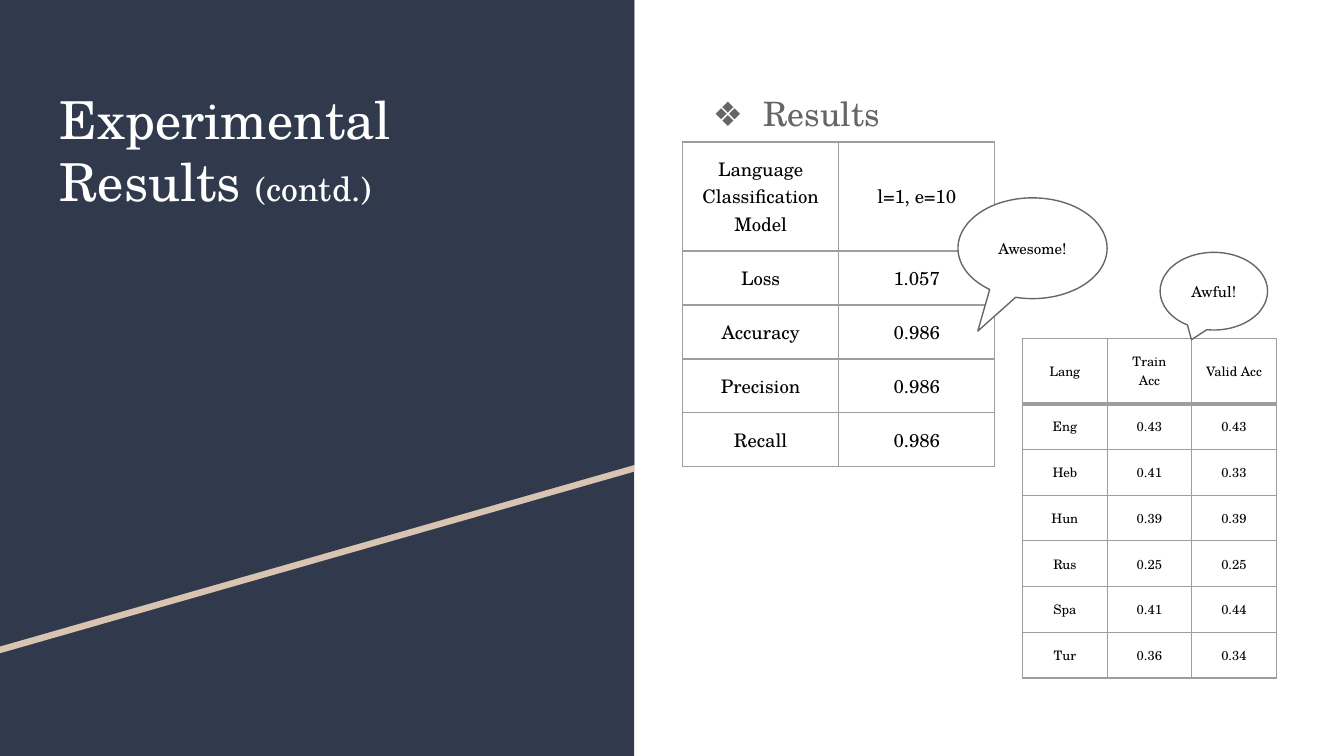
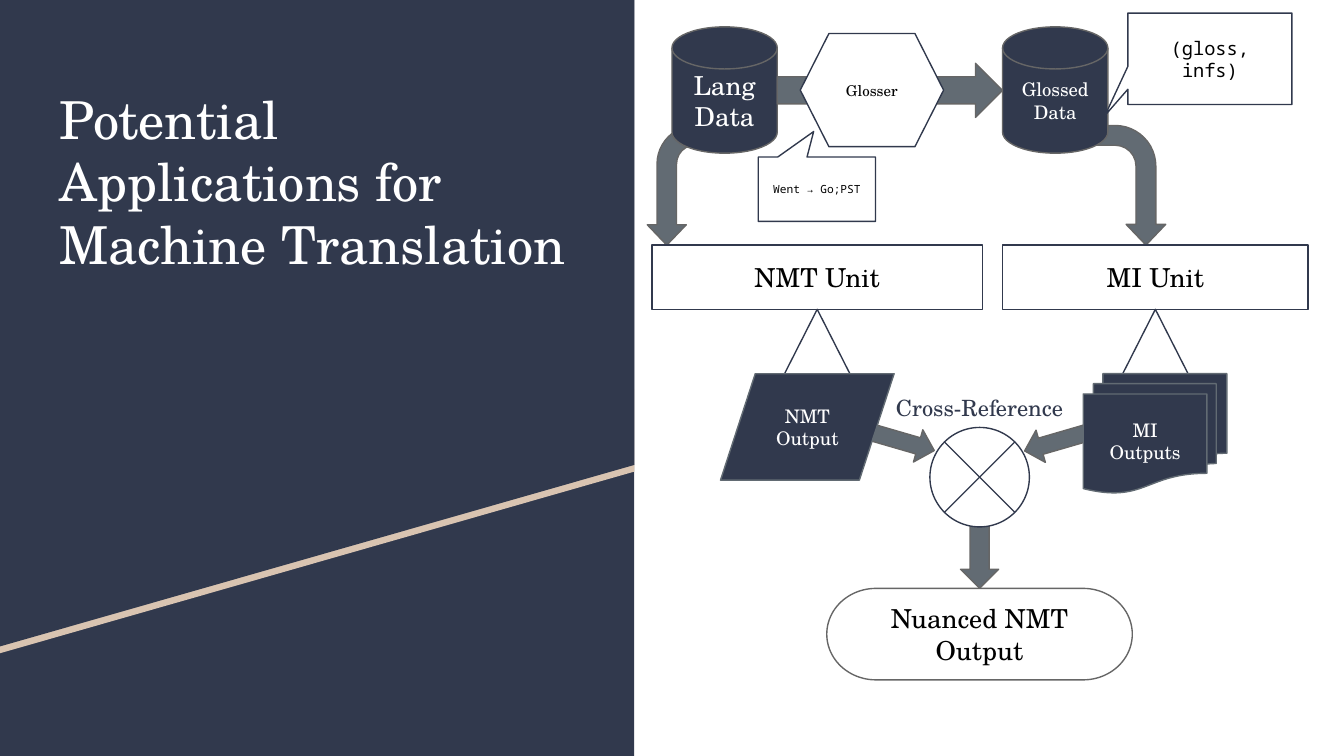
from lxml import etree
from pptx import Presentation
from pptx.dml.color import RGBColor
from pptx.enum.shapes import MSO_SHAPE as Kind
from pptx.enum.text import MSO_ANCHOR as Anchor, PP_ALIGN as Align
from pptx.oxml.ns import qn
from pptx.util import Pt

NAVY = RGBColor(0x31, 0x39, 0x4D)
SAND = RGBColor(0xD9, 0xC4, 0xB1)
SLATE = RGBColor(0x62, 0x6B, 0x73)
GRAY = RGBColor(0x66, 0x66, 0x66)
GRID = RGBColor(0x9E, 0x9E, 0x9E)
WHITE = RGBColor(0xFF, 0xFF, 0xFF)
BLACK = RGBColor(0, 0, 0)
SERIF = "TeX Gyre Schola"
MONO = "Noto Sans Mono"

# Shared layout
SLIDE_SIZE = (720, 405)
PANEL_WIDTH = 339.8
SAND_EDGE = [(0, 3.6), (339, 3.6), (PANEL_WIDTH, 252.7), (0, 350)]
NAVY_TOP = [(0, 0), (PANEL_WIDTH, 0), (PANEL_WIDTH, 249.1), (0, 346.3)]
TITLE_BOX = (24.8, 39.4, 291.6, 197.3)
INSET = 7.2
LINE_WIDTH = 0.75

# Look of a shape: fill, line, text colour
LOOKS = {
    "bubble": (WHITE, GRAY, BLACK),
    "box": (WHITE, NAVY, BLACK),
    "data": (NAVY, GRAY, WHITE),
    "output": (NAVY, SLATE, WHITE),
    "arrow": (SLATE, GRAY, WHITE),
}

# Slide 1 content
RESULTS_TITLE = [("Experimental Results ", 28), ("(contd.)", 18)]
RESULTS_BOX = (365.8, 39.6, 328.3, 322.6)
MODEL_TABLE = {
    "at": (365.6, 76.1), "column": 83.7, "rows": (58.4, 28.9), "size": 10, "heavy": None,
    "cells": [
        ("Language Classification Model", "l=1, e=10"),
        ("Loss", "1.057"),
        ("Accuracy", "0.986"),
        ("Precision", "0.986"),
        ("Recall", "0.986"),
    ],
}
LANGUAGE_TABLE = {
    "at": (547.8, 181.4), "column": 45.3, "rows": (34.9, 24.5), "size": 7, "heavy": 2.25,
    "cells": [
        ("Lang", "Train Acc", "Valid Acc"),
        ("Eng", "0.43", "0.43"),
        ("Heb", "0.41", "0.33"),
        ("Hun", "0.39", "0.39"),
        ("Rus", "0.25", "0.25"),
        ("Spa", "0.41", "0.44"),
        ("Tur", "0.36", "0.34"),
    ],
}
AWESOME = dict(kind=Kind.OVAL_CALLOUT, at=(513.2, 106, 79.9, 54), look="bubble",
               text="Awesome!", size=8, adjust=(-0.367, 0.822))
AWFUL = dict(kind=Kind.OVAL_CALLOUT, at=(621.5, 135.2, 57.6, 41.6), look="bubble",
             text="Awful!", size=8, adjust=(-0.208, 0.625))

# Slide 2 content
TRANSLATION_TITLE = [("Potential Applications for Machine Translation", 28)]
DISK_TOP, DISK_SIZE = 14.4, (56.4, 67.7)
LANG_X, GLOSSED_X = 360, 537.1
UNIT_TOP, UNIT_HEIGHT = 131.2, 34.5
NMT_UNIT = (349.3, UNIT_TOP, 177, UNIT_HEIGHT)
MI_UNIT = (GLOSSED_X, UNIT_TOP, 163.7, UNIT_HEIGHT)
FAN_SIZE = (35, 34.5)
BEND = (0.25, 0.25, 0.261)


def fan_under(unit):
    """Triangle centred below a unit box."""
    left, top, width, height = unit
    return dict(kind=Kind.FLOWCHART_EXTRACT, look="box",
                at=(left + (width - FAN_SIZE[0]) / 2, top + height, *FAN_SIZE))


FLOW = [
    dict(kind=Kind.FLOWCHART_MAGNETIC_DISK, at=(LANG_X, DISK_TOP, *DISK_SIZE),
         look="data", text="Lang\nData", size=14),
    dict(kind=Kind.RIGHT_ARROW, at=(416.4, 33.9, 120.7, 29), look="arrow"),
    dict(kind=Kind.FLOWCHART_PREPARATION, at=(428.7, 18, 76.8, 60.6),
         look="box", text="Glosser", size=8),
    dict(kind=Kind.BENT_ARROW, at=(571.2, 78, 64.1, 42.5), look="arrow",
         rotation=90, adjust=(*BEND, 0.513)),
    dict(kind=Kind.FLOWCHART_MAGNETIC_DISK, at=(GLOSSED_X, DISK_TOP, *DISK_SIZE),
         look="data", text="Glossed\nData", size=10),
    dict(kind=Kind.FLOWCHART_PROCESS, at=NMT_UNIT, look="box", text="NMT Unit", size=14),
    dict(kind=Kind.RECTANGULAR_CALLOUT, at=(604.2, 7, 87.9, 49), look="box",
         text="(gloss, infs)", size=10, font=MONO, adjust=(-0.639, 0.619)),
    dict(kind=Kind.FLOWCHART_PROCESS, at=MI_UNIT, look="box", text="MI Unit", size=14),
    fan_under(NMT_UNIT),
    dict(kind=Kind.RECTANGULAR_CALLOUT, at=(406.2, 84.1, 62.8, 34.5), look="box",
         text="Went → Go;PST", size=6, font=MONO, adjust=(-0.027, -0.896)),
    dict(kind=Kind.RIGHT_ARROW, at=(462.4, 227, 38.9, 18), look="arrow", rotation=16.2),
    dict(kind=Kind.FLOWCHART_DATA, at=(386, 200.2, 93, 57), look="output",
         text="NMT Output", size=10),
    fan_under(MI_UNIT),
    dict(kind=Kind.RIGHT_ARROW, at=(548.1, 227, 40.3, 18), look="arrow",
         rotation=343.8, flip=True),
    dict(kind=Kind.DOWN_ARROW, at=(514.6, 269.3, 20.4, 45.9), look="arrow"),
    dict(kind=Kind.FLOWCHART_MULTIDOCUMENT, at=(580.3, 200.2, 77, 64), look="output",
         text="MI Outputs", size=10),
    dict(kind=Kind.FLOWCHART_SUMMING_JUNCTION, at=(498.2, 229, 53.3, 53.3), look="box"),
]
LANG_BEND = dict(kind=Kind.BENT_ARROW, at=(335.6, 78.4, 64.1, 41.8), look="arrow",
                 rotation=270, flip=True, adjust=(*BEND, 0.492))
CROSS_BOX = (461.8, 204.2, 126, 49)
NUANCED = dict(kind=Kind.FLOWCHART_TERMINATOR, at=(442.9, 315.2, 163.7, 49), look="bubble",
               text="Nuanced NMT Output", size=14)


def points(values):
    return [Pt(value) for value in values]


def style_run(run, size, color, font=SERIF):
    run.font.size, run.font.name = Pt(size), font
    run.font.color.rgb = color


def set_insets(holder):
    holder.margin_left = holder.margin_right = Pt(INSET)
    holder.margin_top = holder.margin_bottom = Pt(INSET)


def fill_text(text_frame, text, size, color, font=SERIF, align=Align.CENTER):
    text_frame.text = text
    for paragraph in text_frame.paragraphs:
        paragraph.alignment = align
        for run in paragraph.runs:
            style_run(run, size, color, font)


def add_text_box(slide, at):
    text_frame = slide.shapes.add_textbox(*points(at)).text_frame
    text_frame.word_wrap = True
    set_insets(text_frame)
    return text_frame


def add_figure(slide, kind, at, look, text="", size=10, font=SERIF,
               adjust=(), rotation=0, flip=False):
    fill, line, color = LOOKS[look]
    shape = slide.shapes.add_shape(kind, *points(at))
    shape.shadow.inherit = False
    shape.fill.solid()
    shape.fill.fore_color.rgb = fill
    shape.line.color.rgb = line
    shape.line.width = Pt(LINE_WIDTH)
    for index, value in enumerate(adjust):
        shape.adjustments[index] = value
    shape.rotation = rotation
    if flip:
        shape._element.spPr.get_or_add_xfrm().set("flipH", "1")
    if text:
        text_frame = shape.text_frame
        text_frame.word_wrap = True
        text_frame.vertical_anchor = Anchor.MIDDLE
        set_insets(text_frame)
        fill_text(text_frame, text, size, color, font)


def paint_plain(shape, color):
    shape.shadow.inherit = False
    shape.fill.solid()
    shape.fill.fore_color.rgb = color
    shape.line.fill.background()


def add_slide(presentation):
    """Blank slide with the navy panel and its slanted sand stripe."""
    slide = presentation.slides.add_slide(presentation.slide_layouts[6])
    panel = (0, 0, PANEL_WIDTH, SLIDE_SIZE[1])
    paint_plain(slide.shapes.add_shape(Kind.RECTANGLE, *points(panel)), NAVY)
    for corners, color in ((SAND_EDGE, SAND), (NAVY_TOP, NAVY)):
        start, *others = [points(corner) for corner in corners]
        builder = slide.shapes.build_freeform(*start)
        builder.add_line_segments(others, close=True)
        paint_plain(builder.convert_to_shape(), color)
    return slide


def add_title(slide, parts):
    paragraph = add_text_box(slide, TITLE_BOX).paragraphs[0]
    for text, size in parts:
        run = paragraph.add_run()
        run.text = text
        style_run(run, size, WHITE)


def add_bullet(paragraph, mark, size, color):
    properties = paragraph._p.get_or_add_pPr()
    properties.set("marL", str(Pt(36)))
    properties.set("indent", str(-Pt(27)))
    bullet_color = etree.SubElement(properties, qn("a:buClr"))
    etree.SubElement(bullet_color, qn("a:srgbClr")).set("val", str(color))
    etree.SubElement(properties, qn("a:buSzPts")).set("val", str(size * 100))
    etree.SubElement(properties, qn("a:buFont")).set("typeface", SERIF)
    etree.SubElement(properties, qn("a:buChar")).set("char", mark)


def set_borders(cell, widths):
    """Draw the left, right, top and bottom borders ahead of the cell fill."""
    properties = cell._tc.get_or_add_tcPr()
    for index, (side, width) in enumerate(zip("LRTB", widths)):
        line = etree.Element(qn("a:ln" + side), w=str(Pt(width)))
        fill = etree.SubElement(line, qn("a:solidFill"))
        etree.SubElement(fill, qn("a:srgbClr")).set("val", str(GRID))
        properties.insert(index, line)


def add_grid(slide, at, column, rows, size, heavy, cells):
    header, body = rows
    heights = [header] + [body] * (len(cells) - 1)
    count = len(cells[0])
    table = slide.shapes.add_table(len(cells), count, *points(at),
                                   Pt(column * count), Pt(sum(heights))).table
    table.first_row = table.horz_banding = False
    for table_column in table.columns:
        table_column.width = Pt(column)
    for row, (height, texts) in enumerate(zip(heights, cells)):
        table.rows[row].height = Pt(height)
        top = heavy if heavy and row == 1 else LINE_WIDTH
        bottom = heavy if heavy and row == 0 else LINE_WIDTH
        for index, text in enumerate(texts):
            cell = table.cell(row, index)
            cell.vertical_anchor = Anchor.MIDDLE
            set_insets(cell)
            fill_text(cell.text_frame, text, size, BLACK)
            cell.fill.background()
            set_borders(cell, (LINE_WIDTH, LINE_WIDTH, top, bottom))


def build_results(presentation):
    slide = add_slide(presentation)
    add_title(slide, RESULTS_TITLE)
    text_frame = add_text_box(slide, RESULTS_BOX)
    fill_text(text_frame, "Results", 18, GRAY, align=Align.LEFT)
    text_frame.paragraphs[0].line_spacing = 1.15
    add_bullet(text_frame.paragraphs[0], "❖", 18, GRAY)
    add_grid(slide, **MODEL_TABLE)
    add_figure(slide, **AWESOME)
    add_grid(slide, **LANGUAGE_TABLE)
    add_figure(slide, **AWFUL)


def build_translation(presentation):
    slide = add_slide(presentation)
    add_figure(slide, **LANG_BEND)
    add_title(slide, TRANSLATION_TITLE)
    for figure in FLOW:
        add_figure(slide, **figure)
    fill_text(add_text_box(slide, CROSS_BOX), "Cross-Reference", 12, NAVY)
    add_figure(slide, **NUANCED)


def main():
    presentation = Presentation()
    presentation.slide_width, presentation.slide_height = points(SLIDE_SIZE)
    build_results(presentation)
    build_translation(presentation)
    presentation.save("out.pptx")


if __name__ == "__main__":
    main()
